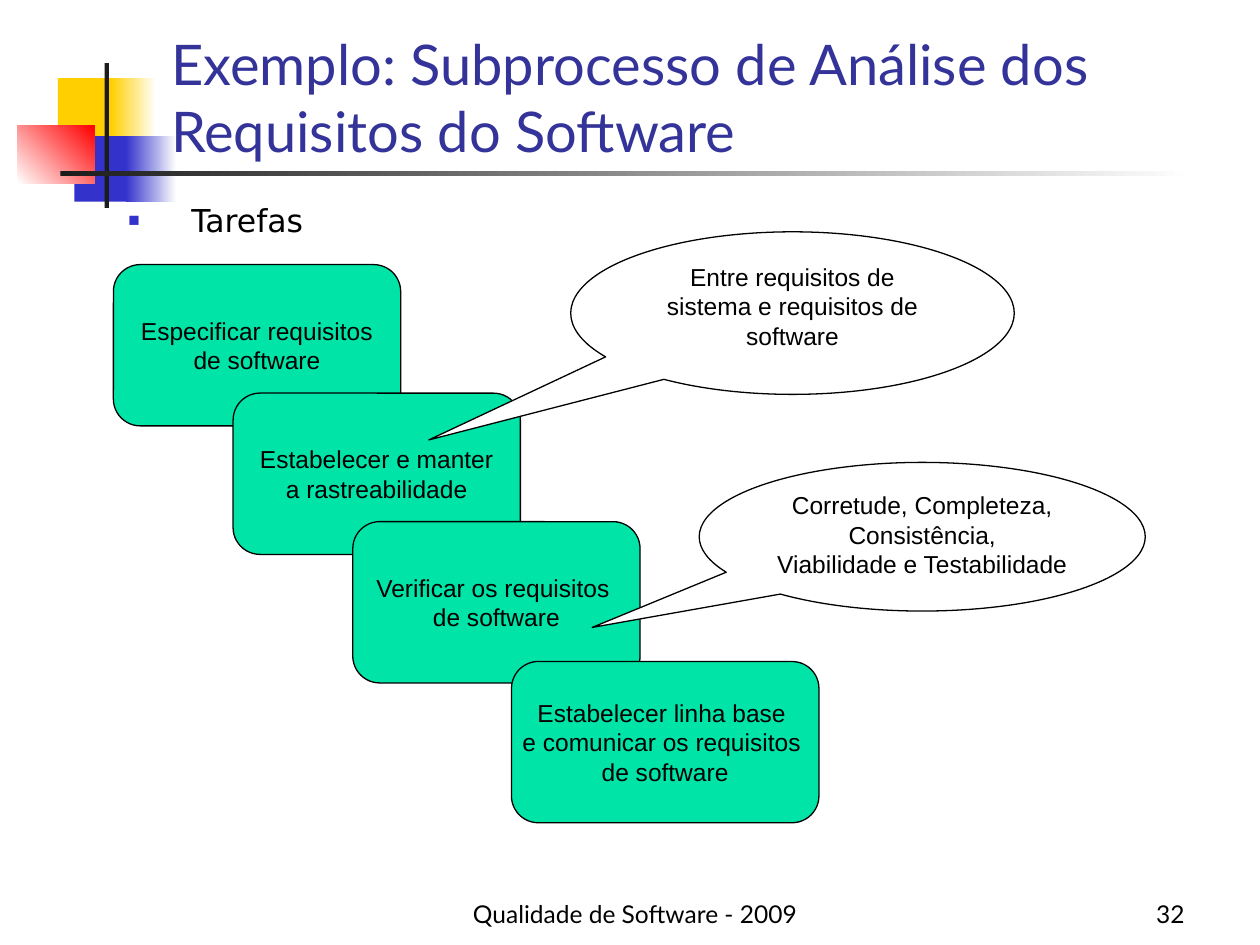
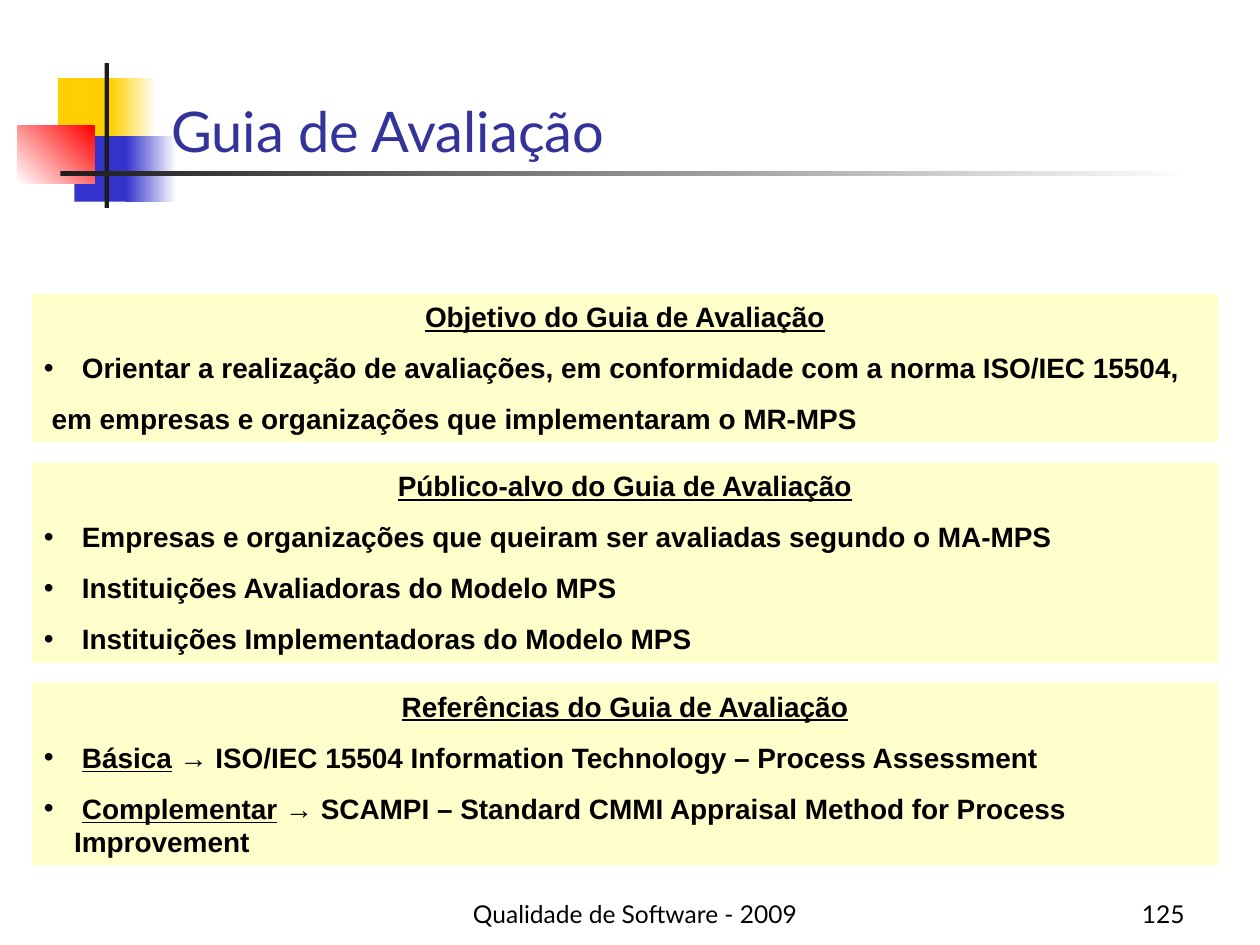
from dataclasses import dataclass
from typing import Optional

from lxml import etree
from pptx import Presentation
from pptx import util as u
from pptx.dml.color import RGBColor
from pptx.enum import shapes, text
from pptx.oxml.ns import qn

COLS, ROWS = 100, 75
WIDTH, HEIGHT = u.Inches(10), u.Inches(7.5)

BLACK, WHITE, INK = "000000", "FFFFFF", "1C1C1C"
YELLOW, BLUE, RED = "FFCF01", "3333CC", "FF0000"
TITLE, GREEN, CREAM = "333399", "00E4A8", "FFFFCC"

SHAPE = shapes.MSO_SHAPE
LEFT, CENTER, RIGHT = text.PP_ALIGN.LEFT, text.PP_ALIGN.CENTER, text.PP_ALIGN.RIGHT
TOP, MIDDLE, BOTTOM = text.MSO_ANCHOR.TOP, text.MSO_ANCHOR.MIDDLE, text.MSO_ANCHOR.BOTTOM

TITLE_FONT = {"name": "Lato", "size": u.Pt(32)}
FOOTER_FONT = {"name": "Lato", "size": u.Pt(14)}
TOPIC_FONT = {"name": "DejaVu Sans", "size": u.Pt(18)}
LABEL_FONT = {"name": "Arial", "size": u.Pt(14)}
PANEL_FONT = {"name": "Arial", "size": u.Pt(16), "bold": True}


@dataclass(frozen=True)
class Box:
    col: float
    row: float
    cols: float
    rows: float

    def place(self) -> tuple:
        across, down = WIDTH / COLS, HEIGHT / ROWS
        return (u.Emu(round(self.col * across)), u.Emu(round(self.row * down)),
                u.Emu(round(self.cols * across)), u.Emu(round(self.rows * down)))


@dataclass(frozen=True)
class Bullet:
    char: str
    color: str
    percent: int
    indent: float


@dataclass(frozen=True)
class Run:
    words: str
    underline: bool = False


@dataclass(frozen=True)
class Para:
    runs: tuple
    align: int = LEFT
    bullet: Optional[Bullet] = None


@dataclass(frozen=True)
class Block:
    box: Box
    colors: tuple
    angle: int = 0


@dataclass(frozen=True)
class Step:
    box: Box
    lines: tuple


@dataclass(frozen=True)
class Callout:
    box: Box
    tip: tuple
    lines: tuple


@dataclass(frozen=True)
class Panel:
    rows: float
    heading: str
    paras: tuple


SQUARE = Bullet("■", BLUE, 60, 0.5)
DOT = Bullet("•", BLACK, 100, 0.24)

EMBLEM = (
    Block(Box(4.6, 6.2, 4.8, 5.2), (YELLOW,)),
    Block(Box(8.8, 6.2, 3.6, 5.2), (YELLOW, WHITE)),
    Block(Box(5.9, 10.8, 4.6, 5.2), (BLUE,)),
    Block(Box(10, 10.8, 4, 5.2), (BLUE, WHITE)),
    Block(Box(1.4, 10, 6.1, 4.6), (WHITE, RED), 45),
    Block(Box(8.3, 5, 0.35, 11.5), (INK,)),
    Block(Box(4.8, 13.6, 90, 0.35), (INK, WHITE)),
)

STEP_LABELS = (
    ("Especificar requisitos", "de software"),
    ("Estabelecer e manter", "a rastreabilidade"),
    ("Verificar os requisitos ", "de software"),
)
STEPS = tuple(
    Step(Box(9 + 9.5 * i, 21 + 10.2 * i, 22.8, 12.8), lines)
    for i, lines in enumerate(STEP_LABELS)
) + (Step(Box(40.6, 52.5, 24.4, 12.8),
          ("Estabelecer linha base ", "e comunicar os requisitos ", "de software")),)

CALLOUTS = (
    Callout(Box(55.5, 36.7, 35.4, 11.8), (-0.74, 0.61),
            ("Corretude, Completeza,", "Consistência,", "Viabilidade e Testabilidade")),
    Callout(Box(45.3, 18.4, 35.2, 12.9), (-0.82, 0.78),
            ("Entre requisitos de", "sistema e requisitos de software")),
)


def dotted(*runs: Run) -> Para:
    return Para(runs, bullet=DOT)


PANEL_TOP, PANEL_GAP = 23.3, 1.6
PANELS = (
    Panel(11.8, "Objetivo do Guia de Avaliação", (
        dotted(Run(" Orientar a realização de avaliações, em conformidade com a norma ISO/IEC 15504,")),
        Para((Run(" em empresas e organizações que implementaram o MR-MPS"),)),
    )),
    Panel(15.9, "Público-alvo do Guia de Avaliação", (
        dotted(Run(" Empresas e organizações que queiram ser avaliadas segundo o MA-MPS")),
        dotted(Run(" Instituições Avaliadoras do Modelo MPS")),
        dotted(Run(" Instituições Implementadoras do Modelo MPS")),
    )),
    Panel(14.5, "Referências do Guia de Avaliação", (
        dotted(Run(" "), Run("Básica", True),
               Run(" → ISO/IEC 15504 Information Technology – Process Assessment")),
        dotted(Run(" "), Run("Complementar", True),
               Run(" → SCAMPI – Standard CMMI Appraisal Method for Process Improvement")),
    )),
)


def rgb(value: str) -> RGBColor:
    return RGBColor.from_string(value)


def set_all(target, values: dict) -> None:
    for name, value in values.items():
        setattr(target, name, value)


def add_bullet(p, bullet: Bullet) -> None:
    pPr = p._p.get_or_add_pPr()
    indent = u.Inches(bullet.indent)
    pPr.set("marL", str(indent))
    pPr.set("indent", str(-indent))
    clr = etree.SubElement(pPr, qn("a:buClr"))
    etree.SubElement(clr, qn("a:srgbClr")).set("val", bullet.color)
    etree.SubElement(pPr, qn("a:buSzPct")).set("val", str(bullet.percent * 1000))
    etree.SubElement(pPr, qn("a:buFont")).set("typeface", "Arial")
    etree.SubElement(pPr, qn("a:buChar")).set("char", bullet.char)


def write(sp, paras: tuple, font: dict, color: str = BLACK, anchor=TOP,
          wrap: bool = True, before: float = 0, spacing: float = 1.0) -> None:
    tf = sp.text_frame
    set_all(tf, {"word_wrap": wrap, "vertical_anchor": anchor,
                 "margin_left": u.Inches(0.1), "margin_right": u.Inches(0.1),
                 "margin_top": u.Inches(0.05), "margin_bottom": u.Inches(0.05)})
    for i, para in enumerate(paras):
        p = tf.add_paragraph() if i else tf.paragraphs[0]
        if para.bullet:
            add_bullet(p, para.bullet)
        set_all(p, {"alignment": para.align, "line_spacing": spacing,
                    "space_before": u.Pt(before if i else 0)})
        for run in para.runs:
            r = p.add_run()
            r.text = run.words
            set_all(r.font, {**font, "underline": run.underline})
            r.font.color.rgb = rgb(color)


def plain(*lines: str, align=CENTER) -> tuple:
    return tuple(Para((Run(line),), align) for line in lines)


def add_figure(s, kind, box: Box, colors: tuple, angle: int = 0,
               outline: Optional[str] = None):
    sp = s.shapes.add_shape(kind, *box.place())
    sp.shadow.inherit = False
    if len(colors) == 1:
        sp.fill.solid()
        sp.fill.fore_color.rgb = rgb(colors[0])
    else:
        sp.fill.gradient()
        sp.fill.gradient_angle = angle
        for stop, value in zip(sp.fill.gradient_stops, colors):
            stop.color.rgb = rgb(value)
    if outline:
        sp.line.color.rgb = rgb(outline)
        sp.line.width = u.Pt(0.75)
    else:
        sp.line.fill.background()
    return sp


def add_text(s, box: Box, paras: tuple, font: dict, **layout) -> None:
    write(s.shapes.add_textbox(*box.place()), paras, font, **layout)


def add_slide(prs, title: str, number: int):
    s = prs.slides.add_slide(prs.slide_layouts[6])
    for block in EMBLEM:
        add_figure(s, SHAPE.RECTANGLE, block.box, block.colors, block.angle)
    add_text(s, Box(18.5, 69.2, 63.8, 5), plain("Qualidade de Software - 2009"),
             FOOTER_FONT, anchor=BOTTOM)
    add_text(s, Box(84.7, 69.2, 10.3, 5), plain(str(number), align=RIGHT),
             FOOTER_FONT, anchor=BOTTOM)
    add_text(s, Box(12.6, 2.1, 85.2, 11.4), plain(title, align=LEFT),
             TITLE_FONT, color=TITLE, anchor=BOTTOM)
    return s


def build_tasks(prs) -> None:
    s = add_slide(prs, "Exemplo: Subprocesso de Análise dos Requisitos do Software", 32)
    add_text(s, Box(9.2, 15.8, 88.8, 53.2), (Para((Run("Tarefas"),), bullet=SQUARE),),
             TOPIC_FONT, spacing=0.9)
    for step in STEPS:
        sp = add_figure(s, SHAPE.ROUNDED_RECTANGLE, step.box, (GREEN,), outline=BLACK)
        write(sp, plain(*step.lines), LABEL_FONT, anchor=MIDDLE, wrap=False)
    for callout in CALLOUTS:
        sp = add_figure(s, SHAPE.OVAL_CALLOUT, callout.box, (WHITE,), outline=BLACK)
        for i, share in enumerate(callout.tip):
            sp.adjustments[i] = share
        write(sp, plain(*callout.lines), LABEL_FONT)


def build_guide(prs) -> None:
    s = add_slide(prs, "Guia de Avaliação", 125)
    row = PANEL_TOP
    for panel in PANELS:
        sp = add_figure(s, SHAPE.RECTANGLE, Box(2.5, row, 94.2, panel.rows), (CREAM,))
        heading = Para((Run(panel.heading, True),), CENTER)
        write(sp, (heading,) + panel.paras, PANEL_FONT, before=10)
        row += panel.rows + PANEL_GAP


def main() -> None:
    prs = Presentation()
    set_all(prs, {"slide_width": WIDTH, "slide_height": HEIGHT})
    build_tasks(prs)
    build_guide(prs)
    prs.save("out.pptx")


if __name__ == "__main__":
    main()
